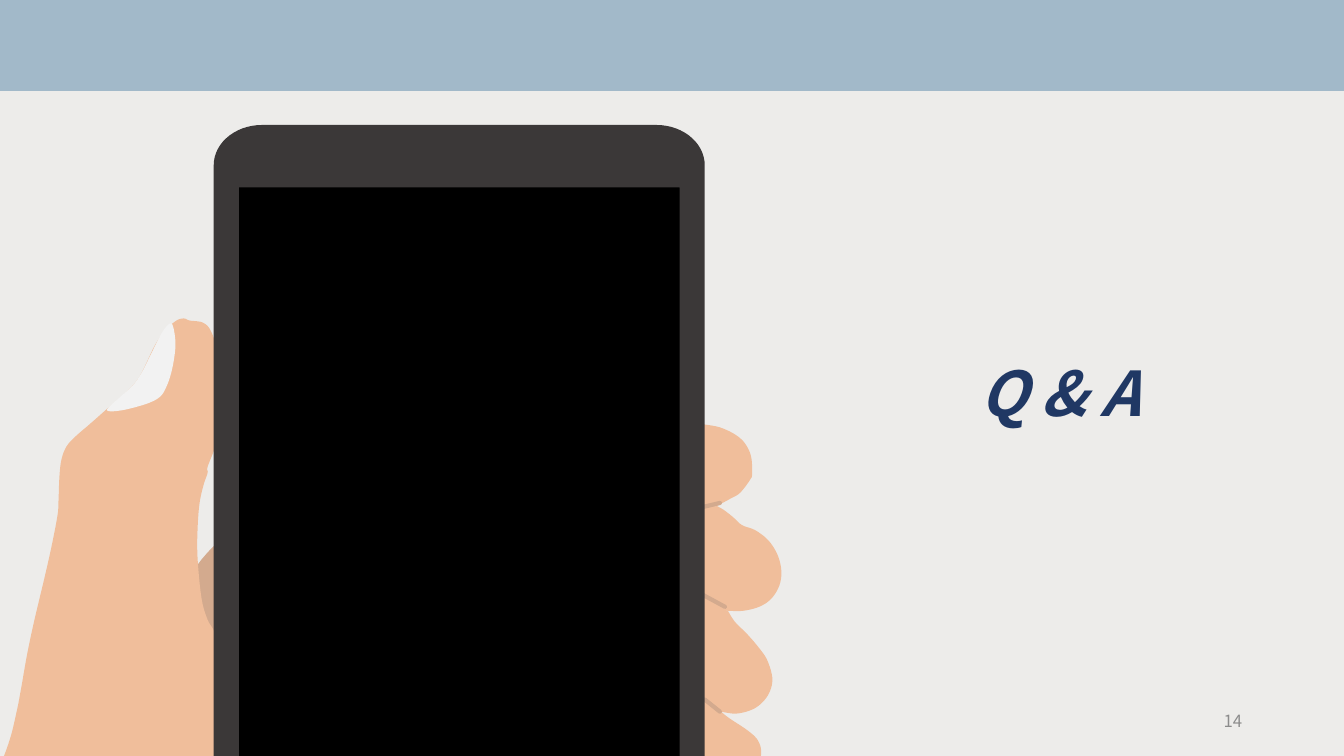
import math

import pptx
import pptx.dml.color
import pptx.enum.shapes
import pptx.enum.text
import pptx.oxml.ns
import pptx.util

Inches = pptx.util.Inches
FONT = "Noto Sans CJK KR"
SKIN, SKIN_SHADE, NAIL = "F0BE9B", "D3AA8E", "F2F2F2"
FRAME, SCREEN = "3B3838", "000000"

# Outline points in inches; a repeated point makes a sharp corner.
PALM = [
    (2.38, 5.21), (2.38, 5.21), (2.38, 6.77), (2.38, 6.77), (2.3, 6.76),
    (2.03, 6.67), (1.83, 6.49), (1.73, 6.22), (1.77, 5.92), (2, 5.55),
    (2.3, 5.25),
]
FINGERS = [
    (6.98, 4.21), (6.98, 4.21), (7.14, 4.24), (7.29, 4.31), (7.39, 4.4),
    (7.45, 4.53), (7.46, 4.7), (7.44, 4.76), (7.34, 4.89), (7.24, 4.95),
    (7.11, 5.02), (7.11, 5.02), (7.18, 5.06), (7.27, 5.13), (7.36, 5.21),
    (7.49, 5.26), (7.62, 5.36), (7.71, 5.5), (7.75, 5.66), (7.73, 5.81),
    (7.65, 5.94), (7.53, 6.02), (7.37, 6.06), (7.22, 6.06), (7.22, 6.06),
    (7.29, 6.17), (7.41, 6.29), (7.53, 6.43), (7.61, 6.55), (7.66, 6.72),
    (7.64, 6.85), (7.57, 6.96), (7.46, 7.04), (7.3, 7.08), (7.15, 7.06),
    (7.15, 7.06), (7.24, 7.13), (7.42, 7.25), (7.52, 7.35), (7.55, 7.48),
    (7.5, 7.66), (7.39, 7.77), (7.23, 7.85), (6.98, 7.9), (6.88, 7.87),
    (6.82, 7.59), (6.88, 7.06), (6.8, 6.77), (6.8, 6.45), (6.96, 6.04),
    (6.9, 5.8), (6.9, 5.47), (6.97, 5.08), (6.95, 4.85),
]
HAND = [
    (1.83, 3.16), (1.88, 3.18), (2.01, 3.2), (2.09, 3.28), (2.15, 3.47),
    (2.19, 3.85), (2.17, 4.04), (2.18, 4.21), (2.14, 4.42), (2.06, 4.63),
    (2.06, 4.69), (2.02, 4.81), (1.98, 4.99), (1.96, 5.25), (1.96, 5.54),
    (2, 5.94), (2.06, 6.15), (2.13, 6.28), (2.2, 6.57), (2.22, 6.96),
    (2.23, 7.5), (2.17, 8.2), (2.1, 8.82), (2.16, 9.07), (2.4, 9.35),
    (2.96, 9.51), (2.96, 9.51), (2.54, 9.87), (2.18, 10.05), (1.67, 10.03),
    (1.48, 10.12), (1.26, 10.31), (1.26, 10.31), (0.89, 9.96), (0.38, 9.54),
    (-0.16, 9.1), (-0.65, 8.63), (-0.87, 8.4), (-0.87, 8.4), (-0.74, 8.39),
    (-0.53, 8.2), (-0.14, 7.85), (-0.01, 7.62), (0.1, 7.33), (0.17, 7.04),
    (0.21, 6.83), (0.27, 6.49), (0.34, 6.16), (0.44, 5.74), (0.51, 5.43),
    (0.57, 5.12), (0.58, 4.99), (0.59, 4.73), (0.61, 4.56), (0.66, 4.43),
    (0.75, 4.33), (0.9, 4.2), (1.07, 4.05), (1.21, 3.93), (1.33, 3.81),
    (1.41, 3.69), (1.54, 3.42), (1.65, 3.26), (1.71, 3.21), (1.77, 3.17),
]
THUMBNAIL = [
    (1.71, 3.22), (1.74, 3.38), (1.73, 3.54), (1.69, 3.73), (1.63, 3.88),
    (1.57, 3.95), (1.47, 4), (1.34, 4.04), (1.21, 4.07), (1.09, 4.08),
    (1.07, 4.05), (1.19, 3.94), (1.32, 3.82), (1.41, 3.69), (1.49, 3.53),
    (1.59, 3.33), (1.66, 3.23),
]
CREASES = [
    ((7.14, 4.99), (6.97, 5.03)),
    ((7.19, 6.02), (6.95, 5.89)),
    ((7.14, 7.06), (6.99, 6.94)),
]


def color(value):
    return pptx.dml.color.RGBColor.from_string(value)


def smooth(points, steps=5):
    """Run a closed Catmull-Rom curve through the points."""
    curve = []
    for index in range(len(points)):
        corners = [points[(index + shift) % len(points)] for shift in (-1, 0, 1, 2)]
        for step in range(steps):
            t = step / steps
            weights = (
                (-t + 2 * t ** 2 - t ** 3) / 2,
                (2 - 5 * t ** 2 + 3 * t ** 3) / 2,
                (t + 4 * t ** 2 - 3 * t ** 3) / 2,
                (t ** 3 - t ** 2) / 2,
            )
            curve.append(tuple(
                sum(weight * corner[axis] for weight, corner in zip(weights, corners))
                for axis in (0, 1)))
    return curve


def rectangle_outline(left, top, right, bottom, radius_x=0, radius_y=0):
    """Return the outline of a rectangle, with elliptical corners if given."""
    if not radius_x:
        return [(left, top), (left, bottom), (right, bottom), (right, top)]
    centers = [
        (right - radius_x, bottom - radius_y), (left + radius_x, bottom - radius_y),
        (left + radius_x, top + radius_y), (right - radius_x, top + radius_y),
    ]
    outline = []
    for quarter, (x, y) in enumerate(centers):
        for degree in range(0, 91, 6):
            angle = math.radians(90 * quarter + degree)
            outline.append((x + radius_x * math.cos(angle), y + radius_y * math.sin(angle)))
    return outline


def paint(shape, fill):
    shape.shadow.inherit = False
    shape.fill.solid()
    shape.fill.fore_color.rgb = color(fill)
    shape.line.fill.background()


def add_outline(slide, left, top, contours, fill):
    """Draw closed contours, measured from left and top, as one filled shape."""
    builder = None
    for contour in contours:
        start, *rest = [(Inches(left + x), Inches(top + y)) for x, y in contour]
        if builder is None:
            builder = slide.shapes.build_freeform(*start)
        else:
            builder.move_to(*start)
        builder.add_line_segments(rest, close=True)
    paint(builder.convert_to_shape(), fill)


def add_crease(slide, left, top, start, end):
    connector = slide.shapes.add_connector(
        pptx.enum.shapes.MSO_CONNECTOR.STRAIGHT,
        Inches(left + start[0]), Inches(top + start[1]),
        Inches(left + end[0]), Inches(top + end[1]))
    connector.line.color.rgb = color(SKIN_SHADE)
    connector.line.width = pptx.util.Pt(3)
    properties = connector._element.spPr
    properties.find(pptx.oxml.ns.qn("a:ln")).set("cap", "rnd")
    properties.append(pptx.oxml.parse_xml(
        "<a:effectLst %s/>" % pptx.oxml.ns.nsdecls("a")))


def add_hand_with_phone(slide, left, top):
    add_outline(slide, left, top, [smooth(PALM)], SKIN_SHADE)
    screen = slide.shapes.add_shape(
        pptx.enum.shapes.MSO_SHAPE.RECTANGLE,
        Inches(left + 2.3), Inches(top + 1.75), Inches(4.67), Inches(7.44))
    paint(screen, SCREEN)
    for outline in (FINGERS, HAND):
        add_outline(slide, left, top, [smooth(outline)], SKIN)
    for start, end in CREASES:
        add_crease(slide, left, top, start, end)
    add_outline(slide, left, top, [smooth(THUMBNAIL)], NAIL)
    frame = rectangle_outline(2.12, 1.24, 6.99, 9.7, 0.48, 0.4)
    opening = rectangle_outline(2.37, 1.86, 6.74, 9.03)
    add_outline(slide, left, top, [frame, opening], FRAME)


def add_text(slide, box, text, frame_format, paragraph_format, font_format, font_color):
    text_frame = slide.shapes.add_textbox(*map(Inches, box)).text_frame
    paragraph = text_frame.paragraphs[0]
    paragraph.text = text
    font = paragraph.runs[0].font
    for target, values in (
            (text_frame, {"word_wrap": True, **frame_format}),
            (paragraph, paragraph_format),
            (font, {"name": FONT, **font_format})):
        for name, value in values.items():
            setattr(target, name, value)
    font.color.rgb = color(font_color)


def set_background(slide):
    """Split the background into a pale field and a blue band above it."""
    fill = slide.background.fill
    fill.gradient()
    fill.gradient_angle = 90
    for stop, value in zip(fill.gradient_stops, ("EDECEA", "A2B9C9")):
        stop.position = 0.88
        stop.color.rgb = color(value)


def build_closing_slide(presentation):
    slide = presentation.slides.add_slide(presentation.slide_layouts[6])
    set_background(slide)
    add_hand_with_phone(slide, 0, 0)
    align = pptx.enum.text.PP_ALIGN
    add_text(slide, (7.8, 3.11, 5.42, 1.07), "Q & A",
             {"auto_size": pptx.enum.text.MSO_AUTO_SIZE.SHAPE_TO_FIT_TEXT},
             {"alignment": align.CENTER, "line_spacing": 1.5},
             {"size": pptx.util.Pt(44), "bold": True, "italic": True}, "203864")
    add_text(slide, (9.42, 6.95, 3, 0.4), "14",
             {"vertical_anchor": pptx.enum.text.MSO_ANCHOR.MIDDLE},
             {"alignment": align.RIGHT}, {"size": pptx.util.Pt(12)}, "8C8C8C")


def main():
    presentation = pptx.Presentation()
    presentation.slide_width = Inches(13.33)
    presentation.slide_height = Inches(7.5)
    build_closing_slide(presentation)
    presentation.save("out.pptx")


if __name__ == "__main__":
    main()
